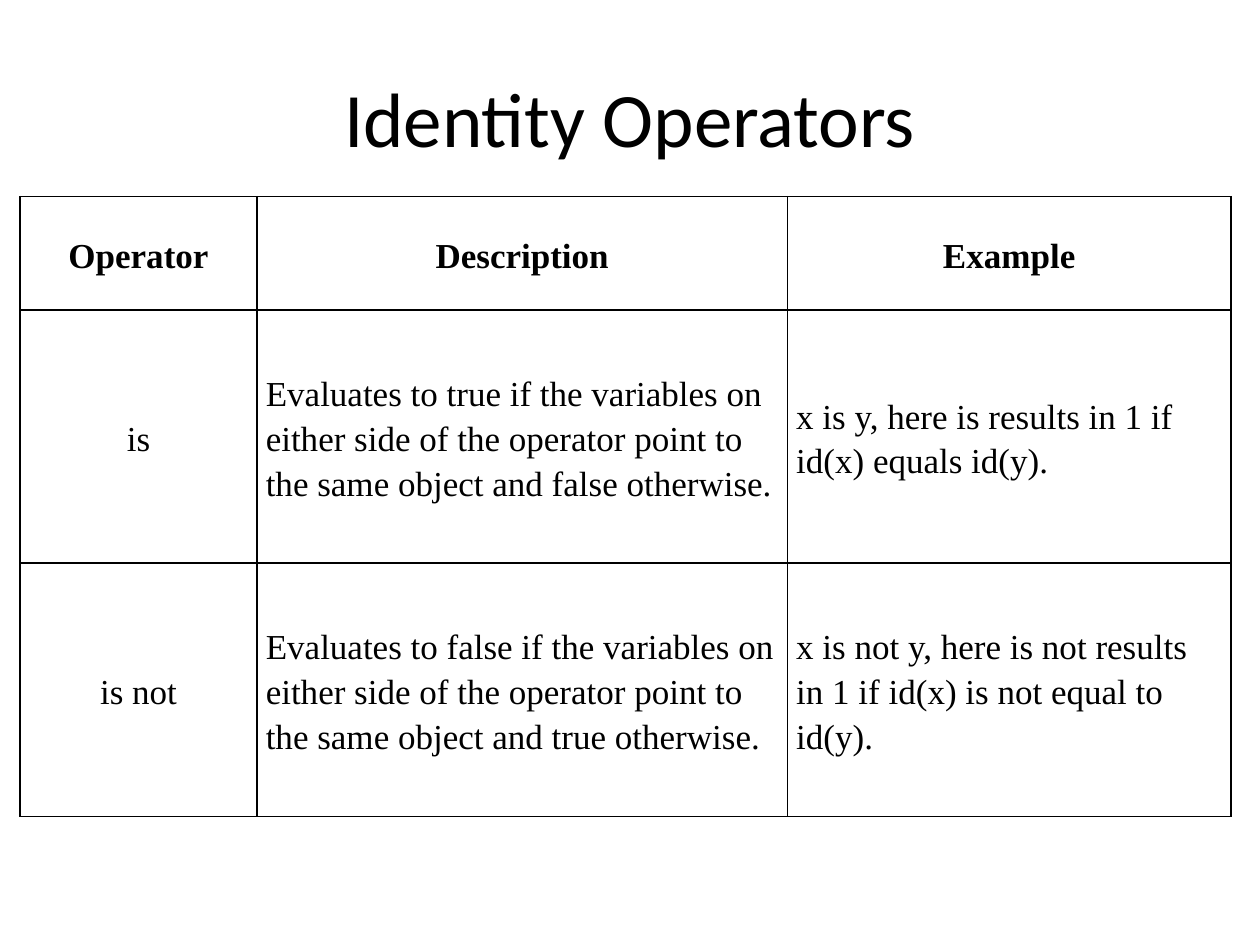
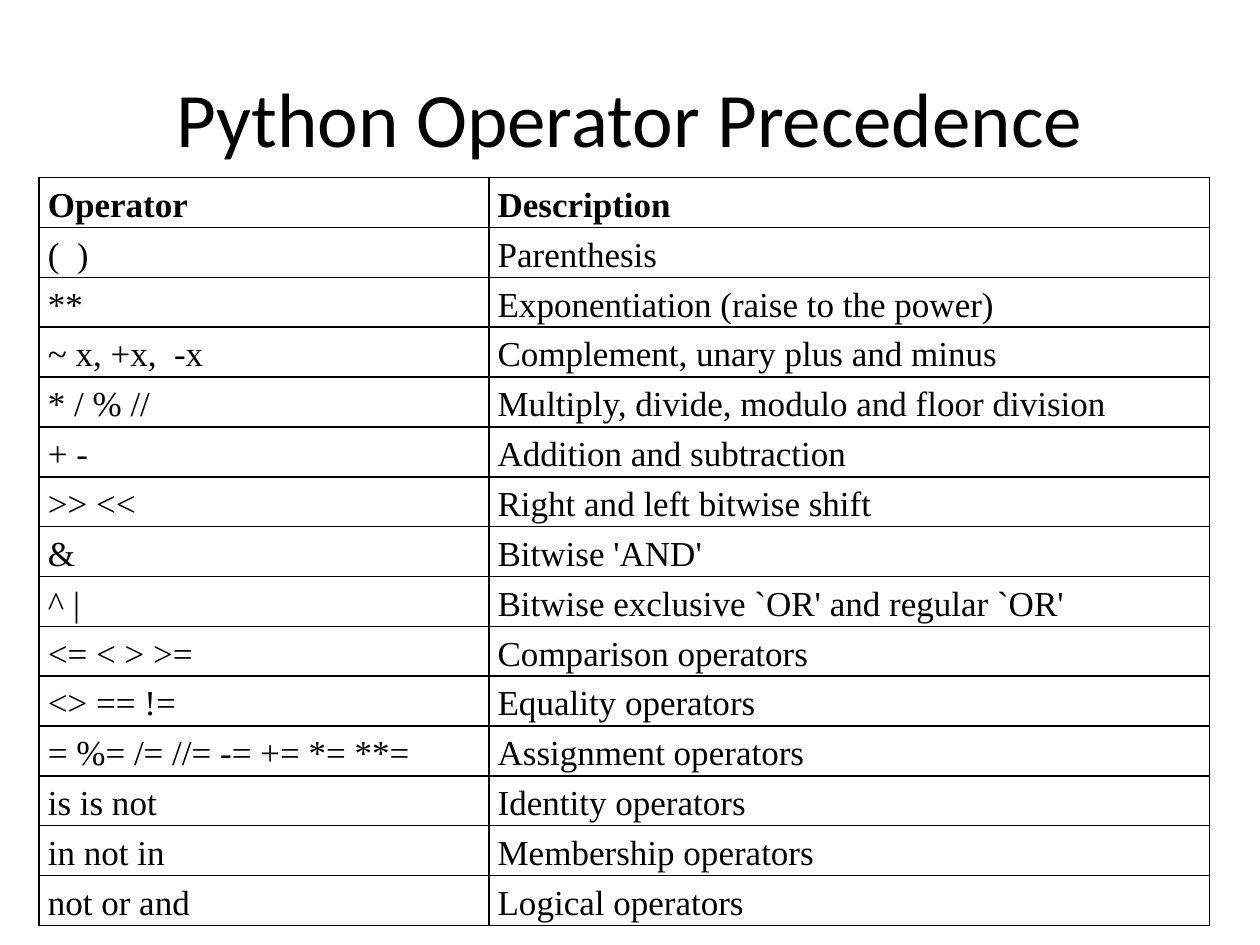
import dataclasses

import lxml.etree
import pptx
import pptx.dml.color
import pptx.enum.text
import pptx.oxml.ns
import pptx.util

Inches = pptx.util.Inches
Pt = pptx.util.Pt
ALIGN = pptx.enum.text.PP_ALIGN
MIDDLE = pptx.enum.text.MSO_ANCHOR.MIDDLE
qn = pptx.oxml.ns.qn


@dataclasses.dataclass(frozen=True)
class Theme:
    ink: str = "000000"
    paper: str = "FFFFFF"
    title_font: str = "Calibri"
    title_size: int = 44
    body_font: str = "Times New Roman"
    body_size: int = 20
    line_spacing: float = 1.15
    border: int = 1
    cell_margin: float = 0.07


def write(tf, text, *, font, size, color, bold=False, align=ALIGN.LEFT, spacing=None):
    p = tf.paragraphs[0]
    p.alignment = align
    if spacing:
        p.line_spacing = spacing
    r = p.add_run()
    r.text = text
    r.font.name = font
    r.font.size = Pt(size)
    r.font.bold = bold
    r.font.color.rgb = pptx.dml.color.RGBColor.from_string(color)


class Deck:
    def __init__(self, theme):
        self.theme = theme
        self.prs = pptx.Presentation()
        self.prs.slide_width = Inches(10)
        self.prs.slide_height = Inches(7.5)
        self.s = None

    def slide(self, title):
        self.s = self.prs.slides.add_slide(self.prs.slide_layouts[6])
        fill = self.s.background.fill
        fill.solid()
        fill.fore_color.rgb = pptx.dml.color.RGBColor.from_string(self.theme.paper)
        self.title(title)

    def title(self, text):
        sp = self.s.shapes.add_textbox(Inches(0.5), Inches(0.3), Inches(9), Inches(1.25))
        tf = sp.text_frame
        tf.word_wrap = True
        tf.vertical_anchor = MIDDLE
        t = self.theme
        write(tf, text, font=t.title_font, size=t.title_size, color=t.ink, align=ALIGN.CENTER)

    def table(self, left, top, widths, heights, rows, align):
        sp = self.s.shapes.add_table(
            len(rows), len(widths), Inches(left), Inches(top),
            Inches(sum(widths)), Inches(sum(heights)))
        table = sp.table
        table.first_row = False
        table.horz_banding = False
        for column, width in zip(table.columns, widths):
            column.width = Inches(width)
        for row, height in zip(table.rows, heights):
            row.height = Inches(height)
        for i, row in enumerate(rows):
            for j, text in enumerate(row):
                self.cell(table.cell(i, j), text, bold=i == 0, align=align(i, j))

    def cell(self, cell, text, bold, align):
        t = self.theme
        cell.margin_left = cell.margin_right = Inches(t.cell_margin)
        cell.margin_top = cell.margin_bottom = 0
        cell.vertical_anchor = MIDDLE
        self.borders(cell)
        cell.fill.background()
        write(cell.text_frame, text, font=t.body_font, size=t.body_size, color=t.ink,
              bold=bold, align=align, spacing=t.line_spacing)

    def borders(self, cell):
        tc_pr = cell._tc.get_or_add_tcPr()
        for side in ("a:lnL", "a:lnR", "a:lnT", "a:lnB"):
            ln = lxml.etree.SubElement(tc_pr, qn(side), w=str(Pt(self.theme.border)))
            fill = lxml.etree.SubElement(ln, qn("a:solidFill"))
            lxml.etree.SubElement(fill, qn("a:srgbClr"), val=self.theme.ink)


IDENTITY = [
    ("Operator", "Description", "Example"),
    ("is",
     "Evaluates to true if the variables on either side of the operator "
     "point to the same object and false otherwise.",
     "x is y, here is results in 1 if id(x) equals id(y)."),
    ("is not",
     "Evaluates to false if the variables on either side of the operator "
     "point to the same object and true otherwise.",
     "x is not y, here is not results in 1 if id(x) is not equal to id(y)."),
]

PRECEDENCE = [
    ("Operator", "Description"),
    ("(  )", "Parenthesis"),
    ("**", "Exponentiation (raise to the power)"),
    ("~ x, +x,  -x", "Complement, unary plus and minus"),
    ("* / % //", "Multiply, divide, modulo and floor division"),
    ("+ -", "Addition and subtraction"),
    (">> <<", "Right and left bitwise shift"),
    ("&", "Bitwise 'AND'"),
    ("^ |", "Bitwise exclusive `OR' and regular `OR'"),
    ("<= < > >=", "Comparison operators"),
    ("<> == !=", "Equality operators"),
    ("= %= /= //= -= += *= **=", "Assignment operators"),
    ("is is not", "Identity operators"),
    ("in not in", "Membership operators"),
    ("not or and", "Logical operators"),
]

deck = Deck(Theme())

deck.slide("Identity Operators")
deck.table(0.16, 1.56, [1.88, 4.21, 3.52], [0.9, 2.01, 2.01], IDENTITY,
           lambda i, j: ALIGN.LEFT if i and j else ALIGN.CENTER)

deck.slide("Python Operator Precedence")
row_height = 5.94 / len(PRECEDENCE)
deck.table(0.31, 1.41, [3.57, 5.72], [row_height] * len(PRECEDENCE), PRECEDENCE,
           lambda i, j: ALIGN.JUSTIFY)

deck.prs.save("out.pptx")
